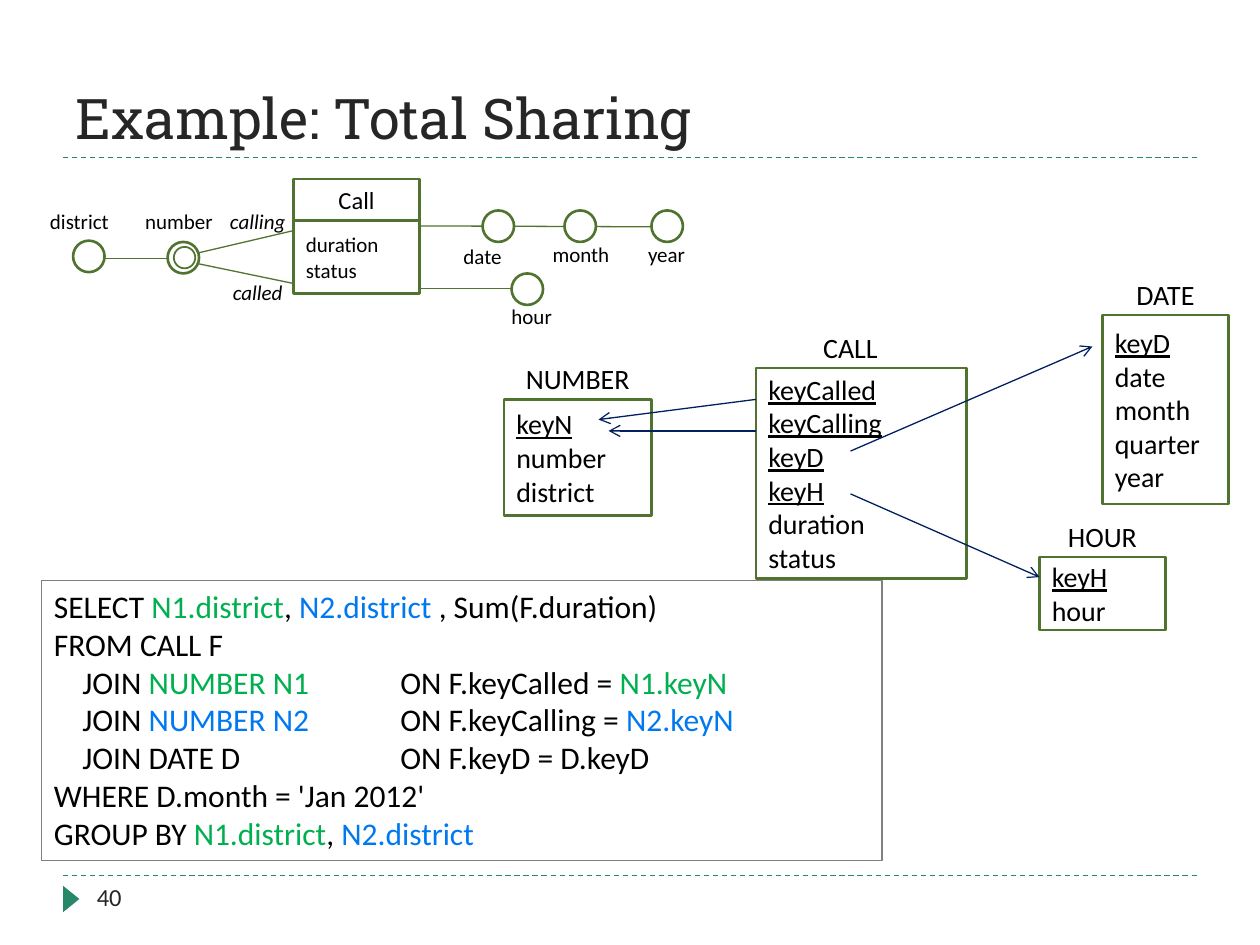
from dataclasses import dataclass
from typing import Optional

from lxml.etree import SubElement
from pptx import Presentation
from pptx.dml.color import RGBColor
from pptx.enum.dml import MSO_LINE
from pptx.enum.shapes import MSO_CONNECTOR, MSO_SHAPE
from pptx.enum.text import MSO_ANCHOR, PP_ALIGN
from pptx.oxml.ns import qn
from pptx.util import Inches, Pt

BLACK = RGBColor(0x00, 0x00, 0x00)
WHITE = RGBColor(0xFF, 0xFF, 0xFF)
DARK = RGBColor(0x26, 0x26, 0x26)
TEAL = RGBColor(0x26, 0x88, 0x68)
OLIVE = RGBColor(0x50, 0x74, 0x2F)
NAVY = RGBColor(0x00, 0x20, 0x60)
GRAY = RGBColor(0x80, 0x80, 0x80)
GREEN = RGBColor(0x00, 0xB0, 0x50)
BLUE = RGBColor(0x00, 0x78, 0xF0)
HEADING_HEIGHT = 0.33


@dataclass
class Label:
    text: str
    left: float
    top: float
    width: float
    italic: bool = False


@dataclass
class Relation:
    name: str
    left: float
    top: float
    width: float
    height: float
    keys: list[str]
    attributes: list[str]
    heading_width: Optional[float] = None


LINKS = [
    (0.63, 2.05, 1.49, 2.05),
    (2.52, 1.79, 5.17, 1.8),
    (3.33, 2.29, 4.2, 2.29),
    (1.51, 2.08, 2.33, 2.25),
    (1.52, 2.02, 2.33, 1.83),
]
NODES = [(0.58, 1.91), (1.33, 1.92), (3.83, 1.67), (4.48, 1.67), (5.17, 1.67), (4.06, 2.17)]
LABELS = [
    Label("district", 0.17, 1.61, 0.92),
    Label("number", 1.01, 1.61, 0.82),
    Label("calling", 1.67, 1.61, 0.75, italic=True),
    Label("called", 1.67, 2.17, 0.75, italic=True),
    Label("date", 3.33, 1.88, 1),
    Label("month", 4.15, 1.87, 0.92),
    Label("year", 4.83, 1.87, 0.92),
    Label("hour", 3.92, 2.36, 0.6),
]
RELATIONS = [
    Relation("CALL", 6, 2.92, 1.67, 1.67, ["keyCalled", "keyCalling", "keyD", "keyH"],
             ["duration", "status"], heading_width=1.5),
    Relation("NUMBER", 4, 3.17, 1.17, 0.92, ["keyN"], ["number", "district"]),
    Relation("DATE", 8.75, 2.5, 1, 1.5, ["keyD"], ["date", "month", "quarter", "year"]),
    Relation("HOUR", 8.25, 4.42, 1, 0.58, ["keyH"], ["hour"]),
]
REFERENCES = [
    (6, 3.17, 4.75, 3.33),
    (6.75, 3.58, 8.67, 2.75),
    (6.75, 3.92, 8.25, 4.58),
    (6, 3.42, 4.83, 3.42),
]
QUERY = [
    [("SELECT ", BLACK), ("N1.district", GREEN), (", ", BLACK), ("N2.district ", BLUE),
     (", Sum(F.duration)", BLACK)],
    [("FROM CALL F", BLACK)],
    [("    JOIN ", BLACK), ("NUMBER N1", GREEN), (" \tON F.keyCalled = ", BLACK),
     ("N1.keyN", GREEN)],
    [("    JOIN ", BLACK), ("NUMBER N2 ", BLUE), ("\tON F.keyCalling = ", BLACK),
     ("N2.keyN", BLUE)],
    [("    JOIN DATE D\tON F.keyD = D.keyD", BLACK)],
    [("WHERE D.month = 'Jan 2012'", BLACK)],
    [("GROUP BY ", BLACK), ("N1.district", GREEN), (", ", BLACK), ("N2.district", BLUE)],
]


def style_font(font, size: float, color: Optional[RGBColor] = BLACK, name: str = "Calibri") -> None:
    font.name = name
    font.size = Pt(size)
    if color is not None:
        font.color.rgb = color


def add_line(shapes, ends: tuple, color: RGBColor):
    line = shapes.add_connector(MSO_CONNECTOR.STRAIGHT, *map(Inches, ends))
    line.line.color.rgb = color
    line.line.width = Pt(0.75)
    SubElement(line._element.spPr, qn("a:effectLst"))
    return line


def add_figure(shapes, kind: MSO_SHAPE, box: tuple, fill: RGBColor = WHITE,
               outline: Optional[RGBColor] = OLIVE, width: float = 1.5):
    figure = shapes.add_shape(kind, *map(Inches, box))
    figure.shadow.inherit = False
    figure.fill.solid()
    figure.fill.fore_color.rgb = fill
    if outline is None:
        figure.line.fill.background()
    else:
        figure.line.color.rgb = outline
        figure.line.width = Pt(width)
    return figure


def write_lines(shape, lines: list[str], size: float, align: PP_ALIGN = PP_ALIGN.LEFT,
                underlined: int = 0, italic: bool = False, color: RGBColor = BLACK,
                anchor: MSO_ANCHOR = MSO_ANCHOR.MIDDLE) -> None:
    frame = shape.text_frame
    frame.word_wrap = True
    frame.vertical_anchor = anchor
    frame.text = "\n".join(lines)
    for index, paragraph in enumerate(frame.paragraphs):
        paragraph.alignment = align
        style_font(paragraph.font, size, color)
        paragraph.font.underline = index < underlined
        paragraph.font.italic = italic


def add_label(shapes, label: Label) -> None:
    box = shapes.add_textbox(*map(Inches, (label.left, label.top, label.width, 0.3)))
    write_lines(box, [label.text], 12, PP_ALIGN.CENTER, italic=label.italic, anchor=MSO_ANCHOR.TOP)


def add_relation(shapes, relation: Relation) -> None:
    heading = add_figure(shapes, MSO_SHAPE.RECTANGLE,
                         (relation.left, relation.top - HEADING_HEIGHT,
                          relation.heading_width or relation.width, HEADING_HEIGHT), outline=None)
    write_lines(heading, [relation.name], 16, PP_ALIGN.CENTER)
    body = add_figure(shapes, MSO_SHAPE.RECTANGLE,
                      (relation.left, relation.top, relation.width, relation.height))
    write_lines(body, relation.keys + relation.attributes, 16, underlined=len(relation.keys))


def add_fact_schema(shapes) -> None:
    for ends in LINKS:
        add_line(shapes, ends, OLIVE)
    name = add_figure(shapes, MSO_SHAPE.RECTANGLE, (2.33, 1.42, 1, 0.33))
    write_lines(name, ["Call"], 14, PP_ALIGN.CENTER)
    measures = add_figure(shapes, MSO_SHAPE.RECTANGLE, (2.33, 1.75, 1, 0.58))
    write_lines(measures, ["duration", "status"], 12)
    for left, top in NODES:
        add_figure(shapes, MSO_SHAPE.OVAL, (left, top, 0.25, 0.25))
    add_figure(shapes, MSO_SHAPE.OVAL, (1.38, 1.96, 0.17, 0.17), width=1)
    for label in LABELS:
        add_label(shapes, label)


def add_query(shapes) -> None:
    box = add_figure(shapes, MSO_SHAPE.RECTANGLE, (0.33, 4.61, 6.67, 2.22), outline=GRAY, width=0.75)
    frame = box.text_frame
    frame.word_wrap = True
    frame.vertical_anchor = MSO_ANCHOR.TOP
    for index, pieces in enumerate(QUERY):
        paragraph = frame.add_paragraph() if index else frame.paragraphs[0]
        paragraph.alignment = PP_ALIGN.LEFT
        tabs = SubElement(paragraph._p.get_or_add_pPr(), qn("a:tabLst"))
        SubElement(tabs, qn("a:tab"), pos=str(Inches(2.75)), algn="l")
        style_font(paragraph.font, 18, None)
        for text, color in pieces:
            run = paragraph.add_run()
            run.text = text
            run.font.color.rgb = color


def main() -> None:
    presentation = Presentation()
    presentation.slide_width = Inches(10)
    presentation.slide_height = Inches(7.5)
    slide = presentation.slides.add_slide(presentation.slide_layouts[5])
    shapes = slide.shapes

    for height in (6.95, 1.25):
        add_line(shapes, (0.5, height, 9.5, height), TEAL).line.dash_style = MSO_LINE.DASH
    marker = add_figure(shapes, MSO_SHAPE.ISOSCELES_TRIANGLE, (0.46, 7.07, 0.21, 0.13), TEAL, None)
    marker.rotation = 90

    title = shapes.title
    title.left, title.top, title.width, title.height = map(Inches, (0.5, 0.25, 9, 1))
    title.text_frame.text = "Example: Total Sharing"
    title.text_frame.vertical_anchor = MSO_ANCHOR.BOTTOM
    title.text_frame.paragraphs[0].alignment = PP_ALIGN.LEFT
    style_font(title.text_frame.paragraphs[0].font, 32, DARK, "Roboto Slab")

    number = shapes.add_textbox(*map(Inches, (0.67, 6.95, 2.17, 0.4)))
    write_lines(number, ["40"], 14, color=DARK, anchor=MSO_ANCHOR.TOP)

    add_fact_schema(shapes.add_group_shape().shapes)
    for relation in RELATIONS:
        add_relation(shapes, relation)
    for ends in REFERENCES:
        arrow = add_line(shapes, ends, NAVY)
        SubElement(arrow.line._get_or_add_ln(), qn("a:tailEnd"), type="arrow")
    add_query(shapes)
    presentation.save("out.pptx")


if __name__ == "__main__":
    main()
